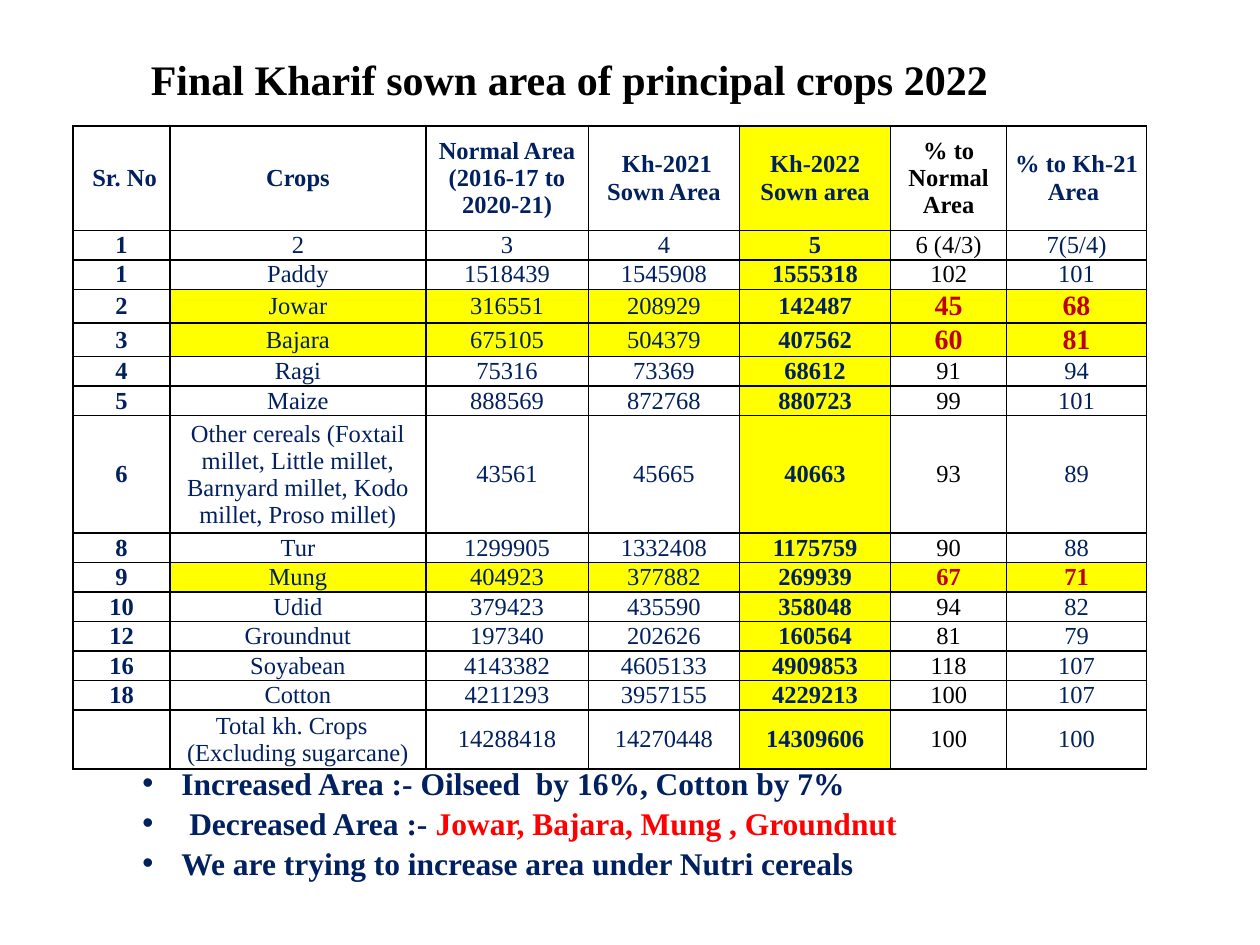
from pptx import Presentation, util as u
from pptx.dml.color import RGBColor
from pptx.enum import text as t
from pptx.oxml import parse_xml
from pptx.oxml.ns import nsdecls

NAVY = RGBColor(0x00, 0x20, 0x60)
BLACK = RGBColor(0x00, 0x00, 0x00)
WHITE = RGBColor(0xFF, 0xFF, 0xFF)
GOLD = RGBColor(0xFF, 0xFF, 0x00)
CRIMSON = RGBColor(0xC0, 0x00, 0x00)
RED = RGBColor(0xFF, 0x00, 0x00)
FACE = "Times New Roman"
WIDE, HIGH = u.Inches(10), u.Inches(7.5)

COLS = [7.7, 20.3, 12.9, 12, 12, 9.2, 11.1]
ROW = 3.07
TALL = {0: 3.6, 7: 2, 14: 2}
DROPS = {"Jowar": 16, "Bajara": 16, "Mung": 14}
NOW, NORM, LAST = 4, 5, 6

CROPS = [
    [" Sr. No", "Crops", "Normal Area (2016-17 to 2020-21)", " Kh-2021 Sown Area",
     "Kh-2022 Sown area", "% to Normal Area", "% to Kh-21 Area "],
    ["1", "2", "3", "4", "5", "6 (4/3)", "7(5/4)"],
    ["1", "Paddy", "1518439", "1545908", "1555318", "102", "101"],
    ["2", "Jowar", "316551", "208929", "142487", "45", "68"],
    ["3", "Bajara", "675105", "504379", "407562", "60", "81"],
    ["4", "Ragi", "75316", "73369", "68612", "91", "94"],
    ["5", "Maize", "888569", "872768", "880723", "99", "101"],
    ["6", "Other cereals (Foxtail millet, Little millet, Barnyard millet, "
     "Kodo millet, Proso millet)", "43561", "45665", "40663", "93", "89"],
    ["8", "Tur", "1299905", "1332408", "1175759", "90", "88"],
    ["9", "Mung", "404923", "377882", "269939", "67", "71"],
    ["10", "Udid", "379423", "435590", "358048", "94", "82"],
    ["12", "Groundnut", "197340", "202626", "160564", "81", "79"],
    ["16", "Soyabean", "4143382", "4605133", "4909853", "118", "107"],
    ["18", "Cotton", "4211293", "3957155", "4229213", "100", "107"],
    ["", "Total kh. Crops  \n(Excluding sugarcane)", "14288418", "14270448",
     "14309606", "100", "100"],
]
NOTES = [
    [("Increased Area :- Oilseed  by 16%, Cotton by 7%", NAVY)],
    [(" Decreased Area :- ", NAVY), ("Jowar, Bajara, Mung , Groundnut", RED)],
    [("We are trying to increase area under Nutri cereals", NAVY)],
]


def across(share):
    """Turn a percentage of the slide width into a length."""
    return int(WIDE * share / 100)


def down(share):
    """Turn a percentage of the slide height into a length."""
    return int(HIGH * share / 100)


def apply(item, **values):
    """Set each named attribute on an item."""
    for name, value in values.items():
        setattr(item, name, value)


def style(font, size, color, bold=True):
    """Give a font its face, size, weight and colour."""
    apply(font, name=FACE, size=u.Pt(size), bold=bold)
    font.color.rgb = color


def place(shape, box):
    """Move a shape into a box given in percent of the slide."""
    left, top, width, height = box
    apply(shape, left=across(left), top=down(top),
          width=across(width), height=down(height))


def add_run(para, words, size, color):
    """Append one bold run to a paragraph."""
    run = para.add_run()
    run.text = words
    style(run.font, size, color)


def add_title(slide, box):
    """Fill the title placeholder."""
    title = slide.shapes.title
    place(title, box)
    apply(title.text_frame, auto_size=t.MSO_AUTO_SIZE.NONE, word_wrap=True,
          vertical_anchor=t.MSO_ANCHOR.MIDDLE)
    para = title.text_frame.paragraphs[0]
    para.alignment = t.PP_ALIGN.LEFT
    add_run(para, " ", 28, CRIMSON)
    add_run(para, "Final Kharif sown area of principal crops 2022", 24, BLACK)


def rule(cell):
    """Draw thin black borders around a cell."""
    props = cell._tc.get_or_add_tcPr()
    for spot, side in enumerate(("lnL", "lnR", "lnT", "lnB")):
        props.insert(spot, parse_xml(
            f'<a:{side} {nsdecls("a")} w="{u.Pt(1)}"><a:solidFill>'
            f'<a:srgbClr val="{BLACK}"/></a:solidFill></a:{side}>'))


def fill_cell(cell, words, row, col, drop):
    """Write and format one cell by its place in the table."""
    alert = drop and col in (NORM, LAST)
    color = CRIMSON if alert else BLACK if col == NORM else NAVY
    bold = bool(row == 0 or col in (0, NOW) or alert)
    cell.text = words
    apply(cell, vertical_anchor=t.MSO_ANCHOR.MIDDLE,
          margin_left=u.Inches(0.04), margin_right=u.Inches(0.04),
          margin_top=0, margin_bottom=0)
    cell.fill.solid()
    cell.fill.fore_color.rgb = GOLD if col == NOW or drop and col else WHITE
    for para in cell.text_frame.paragraphs:
        para.alignment = t.PP_ALIGN.CENTER
        for run in para.runs:
            style(run.font, drop if alert else 14, color, bold)
    rule(cell)


def add_crops(slide, left, top):
    """Build the crop table from its column and row shares."""
    rows = [ROW * TALL.get(i, 1) for i in range(len(CROPS))]
    table = slide.shapes.add_table(
        len(rows), len(COLS), across(left), down(top),
        across(sum(COLS)), down(sum(rows))).table
    for col, share in zip(table.columns, COLS):
        col.width = across(share)
    for i, (share, crop) in enumerate(zip(rows, CROPS)):
        table.rows[i].height = down(share)
        for j, words in enumerate(crop):
            fill_cell(table.cell(i, j), words, i, j, DROPS.get(crop[1]))


def add_notes(slide, box):
    """Fill the body placeholder with the bulleted remarks."""
    body = slide.placeholders[1]
    place(body, box)
    frame = body.text_frame
    apply(frame, word_wrap=False, auto_size=t.MSO_AUTO_SIZE.SHAPE_TO_FIT_TEXT,
          vertical_anchor=t.MSO_ANCHOR.TOP)
    for i, note in enumerate(NOTES):
        para = frame.add_paragraph() if i else frame.paragraphs[0]
        apply(para, space_before=u.Pt(0), line_spacing=1.05)
        props = para._p.get_or_add_pPr()
        props.set("marL", str(u.Inches(0.31)))
        props.set("indent", str(u.Inches(-0.31)))
        for words, color in note:
            add_run(para, words, 18, color)


def main():
    """Build and save the slide."""
    deck = Presentation()
    apply(deck, slide_width=WIDE, slide_height=HIGH)
    slide = deck.slides.add_slide(deck.slide_layouts[1])
    add_title(slide, (10, 4.13, 81, 7.87))
    add_crops(slide, 5.8, 13.33)
    add_notes(slide, (10.3, 80, 63.1, 13.47))
    deck.save("out.pptx")


if __name__ == "__main__":
    main()
